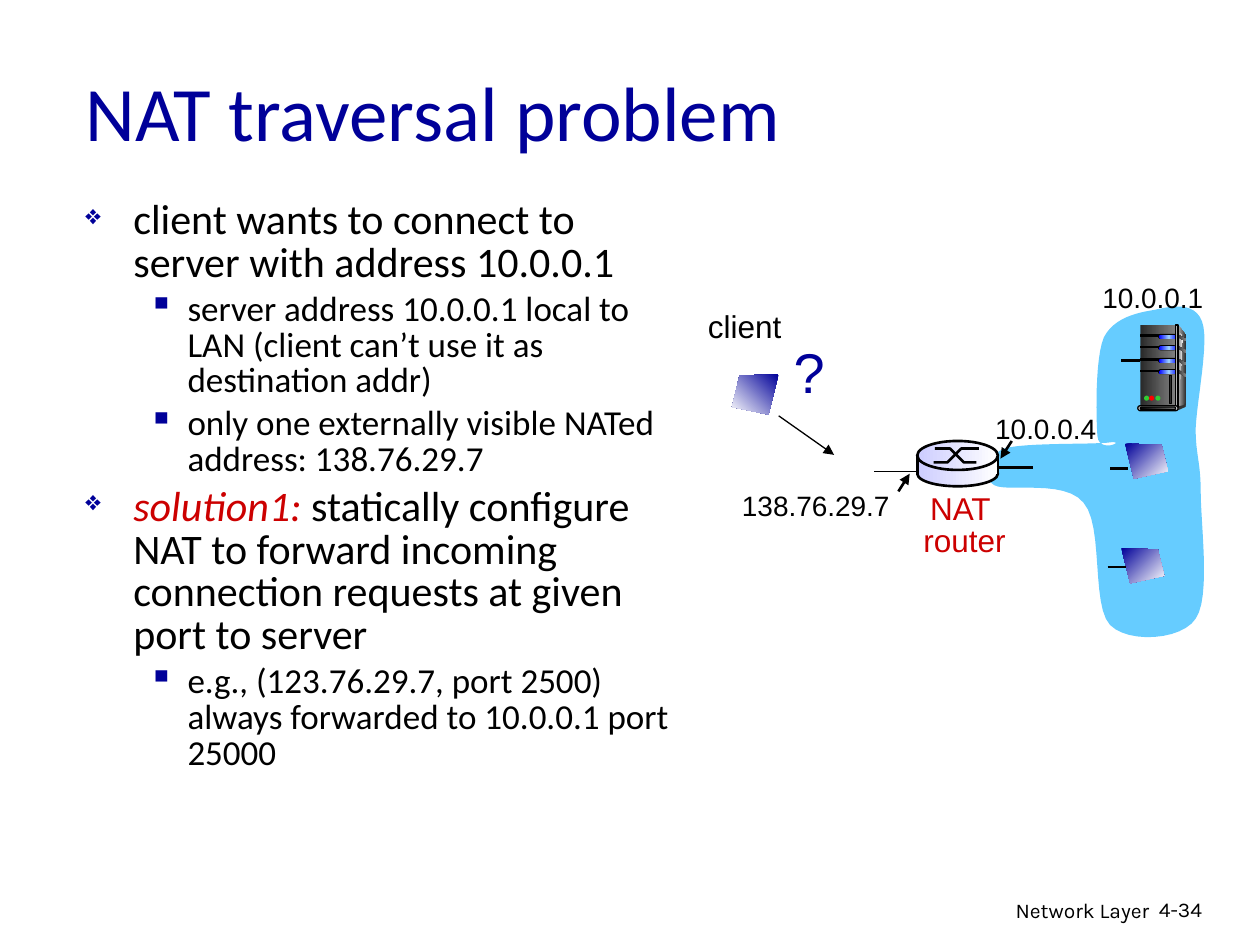
"""Build the NAT traversal problem slide with its network diagram."""
from copy import deepcopy

from lxml import etree
from pptx import Presentation
from pptx.dml.color import RGBColor
from pptx.enum.shapes import MSO_CONNECTOR, MSO_SHAPE
from pptx.enum.text import MSO_ANCHOR, MSO_AUTO_SIZE, PP_ALIGN
from pptx.oxml.ns import qn
from pptx.util import Inches, Pt

RECTANGLE, OVAL, PILL = MSO_SHAPE.RECTANGLE, MSO_SHAPE.OVAL, MSO_SHAPE.ROUNDED_RECTANGLE
STRAIGHT = MSO_CONNECTOR.STRAIGHT
LEFT, CENTER, RIGHT = PP_ALIGN.LEFT, PP_ALIGN.CENTER, PP_ALIGN.RIGHT
TOP, MIDDLE = MSO_ANCHOR.TOP, MSO_ANCHOR.MIDDLE
FIT_SHAPE = MSO_AUTO_SIZE.SHAPE_TO_FIT_TEXT

BLACK = RGBColor(0x00, 0x00, 0x00)
WHITE = RGBColor(0xFF, 0xFF, 0xFF)
NAVY = RGBColor(0x00, 0x00, 0x99)
CRIMSON = RGBColor(0xCC, 0x00, 0x00)
SKY = RGBColor(0x66, 0xCC, 0xFF)
LAVENDER = RGBColor(0xCC, 0xCC, 0xFF)
BLUE = RGBColor(0x00, 0x00, 0xFF)
PALE_BLUE = RGBColor(0x99, 0xCC, 0xFF)
GREEN = RGBColor(0x33, 0xCC, 0x33)
RED = RGBColor(0xFF, 0x00, 0x00)
CHARCOAL = RGBColor(0x29, 0x29, 0x29)
DARK_GRAY = RGBColor(0x33, 0x33, 0x33)
GRAY = RGBColor(0x80, 0x80, 0x80)
LIGHT_GRAY = RGBColor(0xDD, 0xDD, 0xDD)
NEAR_WHITE = RGBColor(0xF8, 0xF8, 0xF8)

presentation = Presentation()
presentation.slide_width, presentation.slide_height = Inches(10), Inches(7.5)
slide = presentation.slides.add_slide(presentation.slide_layouts[6])
shapes = slide.shapes


def paint(shape, colors, line_width=0, angle=0):
    shape.shadow.inherit = False
    if not colors:
        shape.fill.background()
    elif len(colors) == 1:
        shape.fill.solid()
        shape.fill.fore_color.rgb = colors[0]
    else:
        shape.fill.gradient()
        shape.fill.gradient_angle = angle
        if len(colors) == 3:
            stops = shape._element.spPr.find(".//" + qn("a:gsLst"))
            stops.insert(1, deepcopy(stops[0]))
            stops[1].set("pos", "50000")
        for stop, color in zip(shape.fill.gradient_stops, colors):
            stop.color.rgb = color
    if line_width:
        shape.line.color.rgb = BLACK
        shape.line.width = Pt(line_width)
    else:
        shape.line.fill.background()


def add_outline(points, colors, line_width=0, angle=0):
    corners = [(Inches(x), Inches(y)) for x, y in points]
    builder = shapes.build_freeform(*corners[0])
    builder.add_line_segments(corners[1:], close=bool(colors))
    paint(builder.convert_to_shape(), colors, line_width, angle)


cloud_start = (7.97, 3.56)
cloud_curves = [
    ((8.13, 3.51), (8.7, 3.53), (8.82, 3.51)),
    ((8.94, 3.5), (8.72, 3.6), (8.71, 3.46)),
    ((8.7, 3.32), (8.69, 2.85), (8.76, 2.68)),
    ((8.84, 2.52), (9.03, 2.48), (9.16, 2.46)),
    ((9.29, 2.43), (9.48, 2.39), (9.54, 2.55)),
    ((9.6, 2.7), (9.5, 3.17), (9.49, 3.4)),
    ((9.49, 3.62), (9.53, 3.66), (9.53, 3.91)),
    ((9.53, 4.16), (9.61, 4.74), (9.49, 4.91)),
    ((9.38, 5.08), (8.96, 5.11), (8.81, 4.96)),
    ((8.66, 4.8), (8.76, 4.17), (8.6, 3.99)),
    ((8.45, 3.8), (7.99, 3.91), (7.89, 3.85)),
    ((7.78, 3.78), (7.83, 3.62), cloud_start),
]
cloud_points = [cloud_start]
for curve in cloud_curves:
    controls = (cloud_points[-1],) + curve
    for step in range(1, 13):
        t = step / 12
        weights = ((1 - t) ** 3, 3 * t * (1 - t) ** 2, 3 * t**2 * (1 - t), t**3)
        cloud_points.append(tuple(sum(weight * control[axis] for weight, control in zip(weights, controls))
                                  for axis in (0, 1)))
add_outline(cloud_points, [SKY])

texts = [
    ("Network Layer", 6.05, 7.07, 3.17, 0.31, 12, "Karla", BLACK, RIGHT, TOP, True),
    ("4-34", 9.1, 7.07, 0.74, 0.3, 12, "Karla", BLACK, LEFT, TOP, True),
    ("NAT traversal problem", 0.58, 0.25, 8.5, 1.25, 44, "Calibri", NAVY, LEFT, MIDDLE, True),
    ("10.0.0.1", 8.65, 2.18, 1.01, 0.37, 16, "Arial", BLACK, LEFT, TOP, False),
    ("10.0.0.4", 7.8, 3.22, 1.01, 0.37, 16, "Arial", BLACK, LEFT, TOP, False),
    ("NAT \nrouter", 7.23, 3.88, 0.85, 0.61, 18, "Arial", CRIMSON, CENTER, TOP, False),
    ("138.76.29.7", 5.79, 3.83, 1.38, 0.37, 16, "Arial", BLACK, LEFT, TOP, False),
    ("client", 5.52, 2.39, 0.8, 0.4, 18, "Arial", BLACK, LEFT, TOP, False),
    ("?", 6.2, 2.63, 0.45, 0.63, 32, "Arial", NAVY, LEFT, TOP, False),
]
for text, left, top, width, height, size, font, color, alignment, anchor, wrap in texts:
    text_frame = shapes.add_textbox(Inches(left), Inches(top), Inches(width), Inches(height)).text_frame
    text_frame.text = text
    text_frame.word_wrap = wrap
    text_frame.vertical_anchor = anchor
    if not wrap:
        text_frame.auto_size = FIT_SHAPE
    for paragraph in text_frame.paragraphs:
        paragraph.alignment = alignment
        if len(text_frame.paragraphs) > 1:
            paragraph.line_spacing = 0.85
        paragraph.font.size = Pt(size)
        paragraph.font.name = font
        paragraph.font.color.rgb = color

body = [
    (0, "", "client wants to connect to server with address 10.0.0.1"),
    (1, "", "server address 10.0.0.1 local to LAN (client can’t use it as destination addr)"),
    (1, "", "only one externally visible NATed address: 138.76.29.7"),
    (0, "solution1:", " statically configure NAT to forward incoming connection requests at given port to server"),
    (1, "", "e.g., (123.76.29.7, port 2500) always forwarded to 10.0.0.1 port 25000"),
]
levels = [("❖", 65, 0.38, 0.38, 24), ("▪", 100, 0.81, 0.31, 20)]
text_frame = shapes.add_textbox(Inches(0.58), Inches(1.54), Inches(4.99), Inches(5.64)).text_frame
text_frame.word_wrap = True
for index, (level, lead, text) in enumerate(body):
    bullet, bullet_size, margin, hanging, size = levels[level]
    paragraph = text_frame.add_paragraph() if index else text_frame.paragraphs[0]
    properties = paragraph._p.get_or_add_pPr()
    properties.set("marL", str(Inches(margin)))
    properties.set("indent", str(-Inches(hanging)))
    bullet_color = etree.SubElement(properties, qn("a:buClr"))
    etree.SubElement(bullet_color, qn("a:srgbClr"), val=str(NAVY))
    etree.SubElement(properties, qn("a:buSzPct"), val=str(bullet_size * 1000))
    etree.SubElement(properties, qn("a:buChar"), char=bullet)
    paragraph.level = level
    paragraph.line_spacing = 0.85
    if index:
        paragraph.space_before = Pt(size * 0.2)
    for part, color in ((lead, CRIMSON), (text, BLACK)):
        if part:
            run = paragraph.add_run()
            run.text = part
            run.font.size = Pt(size)
            run.font.name = "Calibri"
            run.font.color.rgb = color
            run.font.italic = part == lead

for preset, top, height, line_width in ((OVAL, 3.66, 0.2, 1.5), (RECTANGLE, 3.64, 0.12, 0), (OVAL, 3.5, 0.23, 1.5)):
    shape = shapes.add_shape(preset, Inches(7.28), Inches(top), Inches(0.64), Inches(height))
    paint(shape, [LAVENDER, WHITE], line_width)
add_outline([(7.41, 3.67), (7.52, 3.67), (7.63, 3.56), (7.77, 3.56)], [], 1.5)
add_outline([(7.42, 3.56), (7.54, 3.56), (7.65, 3.67), (7.75, 3.67)], [], 1.5)

add_outline([(6.18, 2.97), (5.87, 2.98), (5.81, 3.23), (6.1, 3.29)], [NAVY, WHITE], angle=225)
for left, top in ((8.93, 3.52), (8.9, 4.35)):
    screen = [(left, top), (left + 0.29, top + 0.01), (left + 0.34, top + 0.22), (left + 0.07, top + 0.28)]
    add_outline(screen, [NAVY, WHITE], angle=315)

lines = [
    (8.9, 2.86, 9.05, 2.86, 1.5, False),
    (8.79, 4.5, 8.94, 4.5, 1.5, False),
    (8.81, 3.72, 8.95, 3.72, 1.5, False),
    (8.03, 3.5, 7.94, 3.64, 1.5, True),
    (7.13, 3.9, 7.22, 3.76, 1.5, True),
    (6.18, 3.3, 6.62, 3.61, 0.75, True),
    (6.94, 3.74, 7.28, 3.74, 0.75, False),
    (7.28, 3.61, 7.28, 3.77, 1.5, False),
    (7.92, 3.62, 7.92, 3.77, 1.5, False),
    (7.91, 3.71, 8.2, 3.71, 1.5, False),
]
for x1, y1, x2, y2, line_width, arrow in lines:
    connector = shapes.add_connector(STRAIGHT, Inches(x1), Inches(y1), Inches(x2), Inches(y2))
    connector.line.color.rgb = BLACK
    connector.line.width = Pt(line_width)
    if arrow:
        etree.SubElement(connector.line._get_or_add_ln(), qn("a:tailEnd"), type="triangle")
    etree.SubElement(connector._element.spPr, qn("a:effectLst"))

add_outline([(9.35, 2.58), (9.41, 2.66), (9.41, 3.21), (9.33, 3.24)], [LIGHT_GRAY, DARK_GRAY])
add_outline([(9.35, 2.62), (9.39, 2.68), (9.35, 3.22)], [GRAY, NEAR_WHITE])
add_outline([(9.34, 3.23), (9.34, 3.26), (9.41, 3.23), (9.41, 3.21)], [DARK_GRAY])
server = [(RECTANGLE, 9.05, 2.58, 0.28, 0.65, [CHARCOAL, GRAY], 0)]
for top in (2.65, 2.74, 2.84, 2.93):
    add_outline([(9.34, top), (9.41, top + 0.04), (9.41, top + 0.06), (9.34, top + 0.02)], [CHARCOAL, GRAY])
    server += [
        (RECTANGLE, 9.05, top + 0.01, 0.16, 0.01, [BLACK], 0.75),
        (PILL, 9.19, top, 0.15, 0.04, [BLACK], 0),
        (PILL, 9.2, top + 0.01, 0.15, 0.03, [BLUE, PALE_BLUE, BLUE], 0),
    ]
server += [
    (RECTANGLE, 9.33, 2.58, 0.02, 0.65, [DARK_GRAY, LIGHT_GRAY, DARK_GRAY], 0.75),
    (OVAL, 9.4, 3.2, 0.01, 0.03, [DARK_GRAY], 0),
    (PILL, 9.03, 3.22, 0.32, 0.04, [LIGHT_GRAY], 0.75),
    (PILL, 9.05, 3.23, 0.28, 0.02, [BLACK, GRAY], 0.75),
    (OVAL, 9.08, 3.14, 0.04, 0.04, [GREEN], 0),
    (OVAL, 9.12, 3.14, 0.04, 0.04, [RED], 0),
    (OVAL, 9.17, 3.14, 0.04, 0.04, [GREEN], 0),
    (RECTANGLE, 9.28, 2.98, 0.02, 0.22, [CHARCOAL], 0.75),
]
for preset, left, top, width, height, colors, line_width in server:
    shape = shapes.add_shape(preset, Inches(left), Inches(top), Inches(width), Inches(height))
    if preset == PILL:
        shape.adjustments[0] = 0.5
    paint(shape, colors, line_width)

presentation.save("out.pptx")
